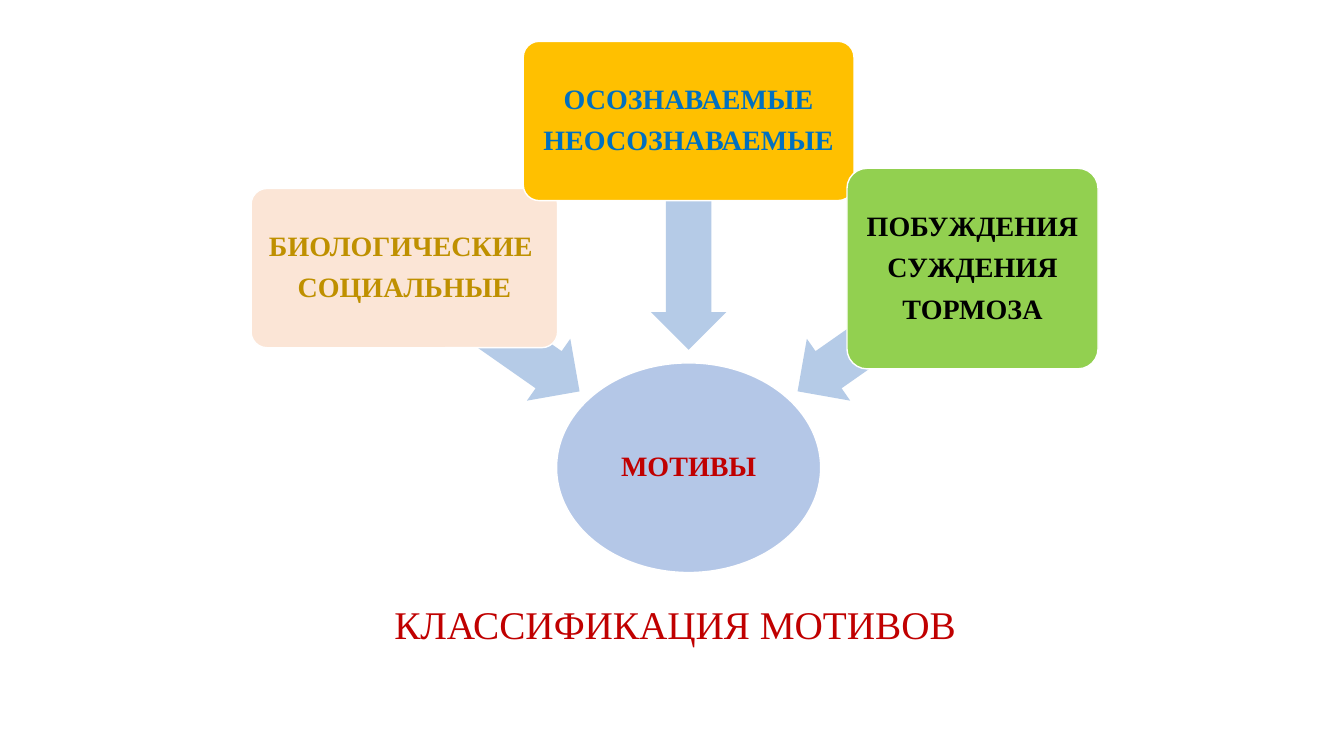
import math

import pptx
import pptx.dml.color
import pptx.enum.shapes
import pptx.enum.text
import pptx.util

RGBColor = pptx.dml.color.RGBColor
Shape = pptx.enum.shapes.MSO_SHAPE

WHITE = RGBColor(0xFF, 0xFF, 0xFF)
RED = RGBColor(0xC0, 0x00, 0x00)
HUB_BLUE = RGBColor(0xB4, 0xC7, 0xE7)
ARROW_BLUE = RGBColor(0xB5, 0xCB, 0xE7)
PEACH = RGBColor(0xFB, 0xE5, 0xD6)
OCHRE = RGBColor(0xBF, 0x90, 0x00)
GOLD = RGBColor(0xFF, 0xC0, 0x00)
BLUE = RGBColor(0x00, 0x70, 0xC0)
GREEN = RGBColor(0x92, 0xD0, 0x50)
BLACK = RGBColor(0x00, 0x00, 0x00)

FONT = "Times New Roman"
WIDTH = pptx.util.Inches(13.33)
HEIGHT = pptx.util.Inches(7.5)

TITLE = {"lines": ["КЛАССИФИКАЦИЯ МОТИВОВ"], "area": (16.65, 77.73, 67.14, 10.27)}
HUB = {"lines": ["МОТИВЫ"], "area": (41.41, 48, 19.65, 27.73)}
MOTIVES = [
    {"lines": ["БИОЛОГИЧЕСКИЕ ", "СОЦИАЛЬНЫЕ"], "area": (18.68, 24.93, 22.81, 21.07),
     "fill": PEACH, "color": OCHRE, "angle": 215, "length": 15.9, "distance": 17.85},
    {"lines": ["ОСОЗНАВАЕМЫЕ", "НЕОСОЗНАВАЕМЫЕ"], "area": (38.93, 5.47, 24.61, 21.07),
     "fill": GOLD, "color": BLUE, "angle": 270, "length": 17.03, "distance": 17.29},
    {"lines": ["ПОБУЖДЕНИЯ", "СУЖДЕНИЯ", "ТОРМОЗА"], "area": (63.02, 22.27, 18.68, 26.53),
     "fill": GREEN, "color": BLACK, "angle": 325, "length": 15.9, "distance": 17.85},
]
ARROW_THICKNESS = 10


def place(area):
    left, top, width, height = area
    return [round(share * size / 100) for share, size in
            ((left, WIDTH), (top, HEIGHT), (width, WIDTH), (height, HEIGHT))]


def write(box, lines, *, color, size=20, bold=True, after=8, inset=0.04):
    frame = box.text_frame
    frame.word_wrap = True
    frame.vertical_anchor = pptx.enum.text.MSO_ANCHOR.MIDDLE
    frame.margin_left = frame.margin_right = pptx.util.Inches(inset)
    frame.margin_top = frame.margin_bottom = pptx.util.Inches(inset)
    for index, line in enumerate(lines):
        para = frame.add_paragraph() if index else frame.paragraphs[0]
        para.alignment = pptx.enum.text.PP_ALIGN.CENTER
        para.line_spacing = 0.9
        para.space_after = pptx.util.Pt(after)
        span = para.add_run()
        span.text = line
        span.font.name = FONT
        span.font.size = pptx.util.Pt(size)
        span.font.bold = bold
        span.font.color.rgb = color


def draw(page, kind, position, fill, outlined=True):
    box = page.shapes.add_shape(kind, *position)
    box.shadow.inherit = False
    box.fill.solid()
    box.fill.fore_color.rgb = fill
    if outlined:
        box.line.color.rgb = WHITE
        box.line.width = pptx.util.Pt(1)
    else:
        box.line.fill.background()
    return box


def draw_arrow(page, center, motive):
    angle = math.radians(motive["angle"])
    distance = motive["distance"] * WIDTH / 100
    length = round(motive["length"] * WIDTH / 100)
    thickness = round(ARROW_THICKNESS * HEIGHT / 100)
    left = round(center[0] + distance * math.cos(angle) - length / 2)
    top = round(center[1] + distance * math.sin(angle) - thickness / 2)
    arrow = draw(page, Shape.LEFT_ARROW, (left, top, length, thickness), ARROW_BLUE, outlined=False)
    arrow.adjustments[0] = 0.6
    arrow.adjustments[1] = 0.5
    arrow.rotation = motive["angle"]


def main():
    deck = pptx.Presentation()
    deck.slide_width, deck.slide_height = WIDTH, HEIGHT
    page = deck.slides.add_slide(deck.slide_layouts[6])

    title = page.shapes.add_textbox(*place(TITLE["area"]))
    write(title, TITLE["lines"], color=RED, size=28, bold=False, after=0, inset=0.1)

    hub = draw(page, Shape.OVAL, place(HUB["area"]), HUB_BLUE)
    write(hub, HUB["lines"], color=RED, inset=0.01)
    center = (hub.left + hub.width / 2, hub.top + hub.height / 2)

    for motive in MOTIVES:
        draw_arrow(page, center, motive)
        box = draw(page, Shape.ROUNDED_RECTANGLE, place(motive["area"]), motive["fill"])
        box.adjustments[0] = 0.1
        write(box, motive["lines"], color=motive["color"])

    deck.save("out.pptx")


if __name__ == "__main__":
    main()
